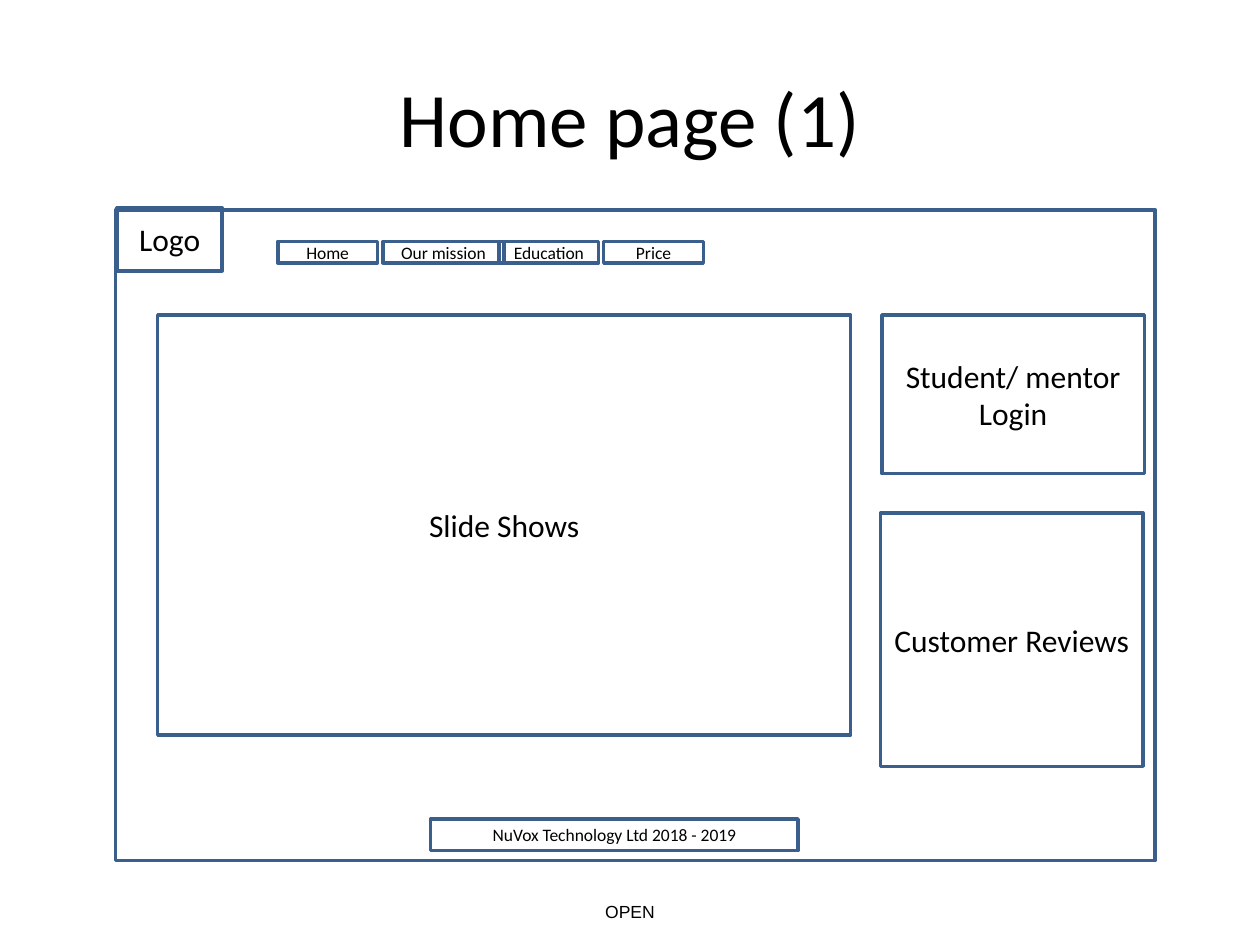
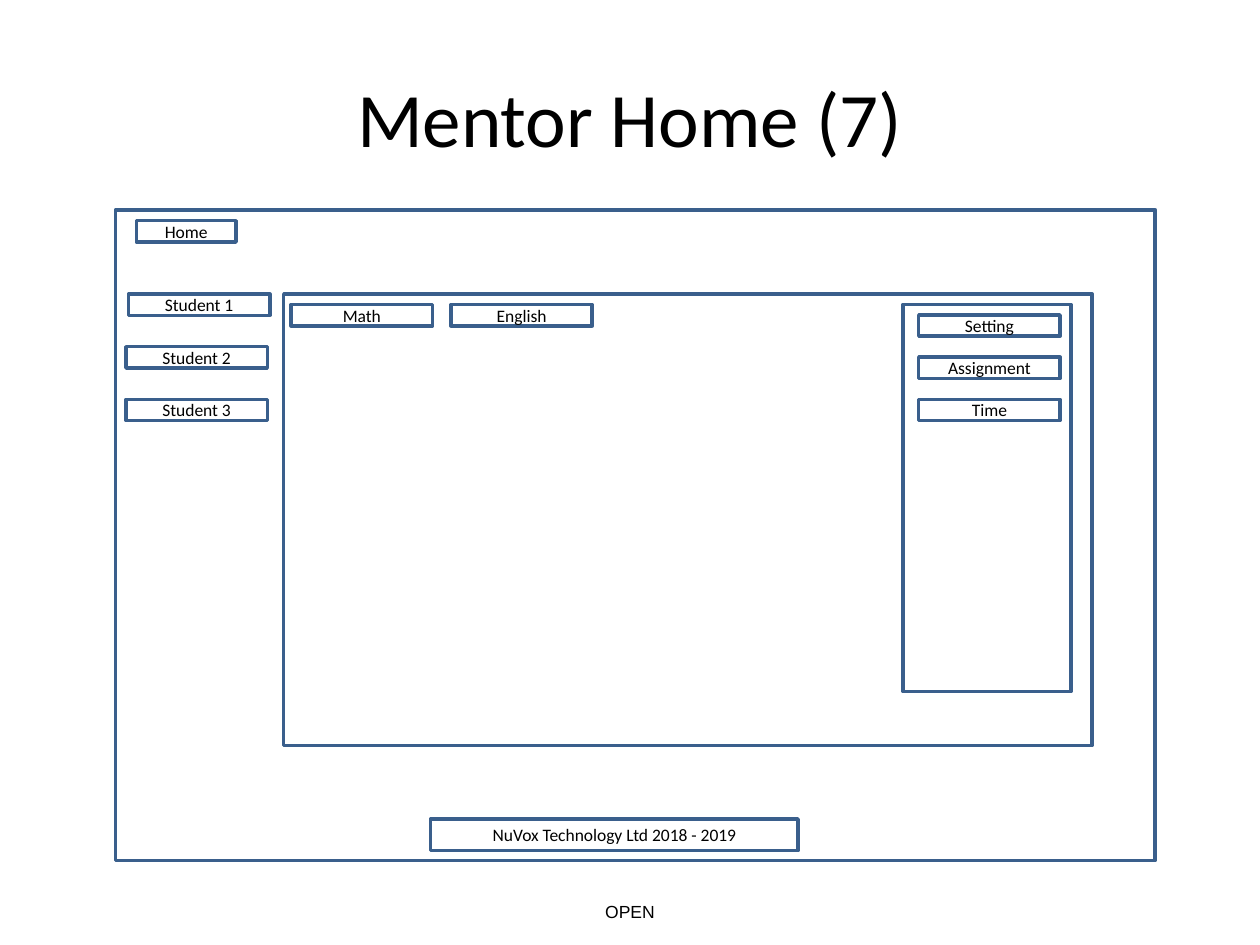
from pptx import Presentation
from pptx.dml.color import RGBColor
from pptx.enum import shapes, text
from pptx.util import Cm, Pt

HUES = {"line": "3A5F8C", "ink": "000000"}
FONT = "Calibri"
SMALL, LARGE = 10, 18
THIN = 0.43  # height of a menu button
WIDE = 2.85  # width of a long button
SHORT = 2.01  # width of a short button


def hue(name):
    """Return a named colour."""
    return RGBColor.from_string(HUES[name])


def write(frame, words, size, font=FONT):
    """Put one centred run in a text frame."""
    frame.word_wrap = True
    para = frame.paragraphs[0]
    para.alignment = text.PP_ALIGN.CENTER
    run = para.add_run()
    run.text = words
    run.font.size = Pt(size)
    run.font.name = font
    run.font.color.rgb = hue("ink")


def box(slide, left, top, width, height, words="", size=SMALL):
    """Draw an outlined box, with a label if one is given."""
    shape = slide.shapes.add_shape(
        shapes.MSO_SHAPE.RECTANGLE, Cm(left), Cm(top), Cm(width), Cm(height))
    shape.shadow.inherit = False
    shape.fill.background()
    shape.line.color.rgb = hue("line")
    shape.line.width = Pt(2)
    if words:
        shape.text_frame.vertical_anchor = text.MSO_ANCHOR.MIDDLE
        write(shape.text_frame, words, size)


def button(slide, left, top, words, width=WIDE):
    """Draw a thin menu button."""
    box(slide, left, top, width, THIN, words)


def page(deck, name):
    """Add a slide with its title, page frame and footers."""
    slide = deck.slides.add_slide(deck.slide_layouts[5])
    mark = slide.shapes.add_textbox(Cm(0), Cm(18.03), Cm(25.4), Cm(1.12))
    write(mark.text_frame, "OPEN", SMALL, "Arial")
    title = slide.shapes.title
    title.left, title.top = Cm(1.27), Cm(0.76)
    title.width, title.height = Cm(22.86), Cm(3.18)
    title.text_frame.vertical_anchor = text.MSO_ANCHOR.MIDDLE
    write(title.text_frame, name, 44)
    box(slide, 2.33, 4.23, 20.96, 13.12)
    box(slide, 8.68, 16.51, 7.41, 0.64, "NuVox Technology Ltd 2018 - 2019")
    return slide


def home(deck):
    """Build the home page."""
    slide = page(deck, "Home page (1)")
    menu = [(5.6, SHORT, "Home"), (7.72, 2.44, "Our mission"),
            (10.06, SHORT, "Education"), (12.17, SHORT, "Price")]
    for left, width, words in menu:
        button(slide, left, 4.87, words, width)
    box(slide, 3.18, 6.35, 13.97, 8.47, "Slide Shows", LARGE)
    box(slide, 17.75, 10.34, 5.29, 5.11, "Customer Reviews", LARGE)
    box(slide, 17.78, 6.35, 5.29, 3.2, "Student/ mentor Login", LARGE)
    box(slide, 2.36, 4.19, 2.12, 1.27, "Logo", LARGE)


def mentor(deck):
    """Build the mentor's home page."""
    slide = page(deck, "Mentor Home (7)")
    button(slide, 2.75, 4.45, "Home", SHORT)
    box(slide, 5.72, 5.93, 16.3, 9.1)
    for col, words in enumerate(["Math", "English"]):
        button(slide, 5.87 + col * 3.22, 6.14, words)
    for row, left in enumerate([2.59, 2.54, 2.54]):
        button(slide, left, 5.93 + row * 1.06, f"Student {row + 1}")
    box(slide, 18.2, 6.14, 3.39, 7.8)
    for row, words in enumerate(["Setting", "Assignment", "Time"]):
        button(slide, 18.52, 6.35 + row * 0.85, words)


def main():
    """Build and save the deck."""
    deck = Presentation()
    deck.slide_width, deck.slide_height = Cm(25.4), Cm(19.05)
    home(deck)
    mentor(deck)
    deck.save("out.pptx")


main()
